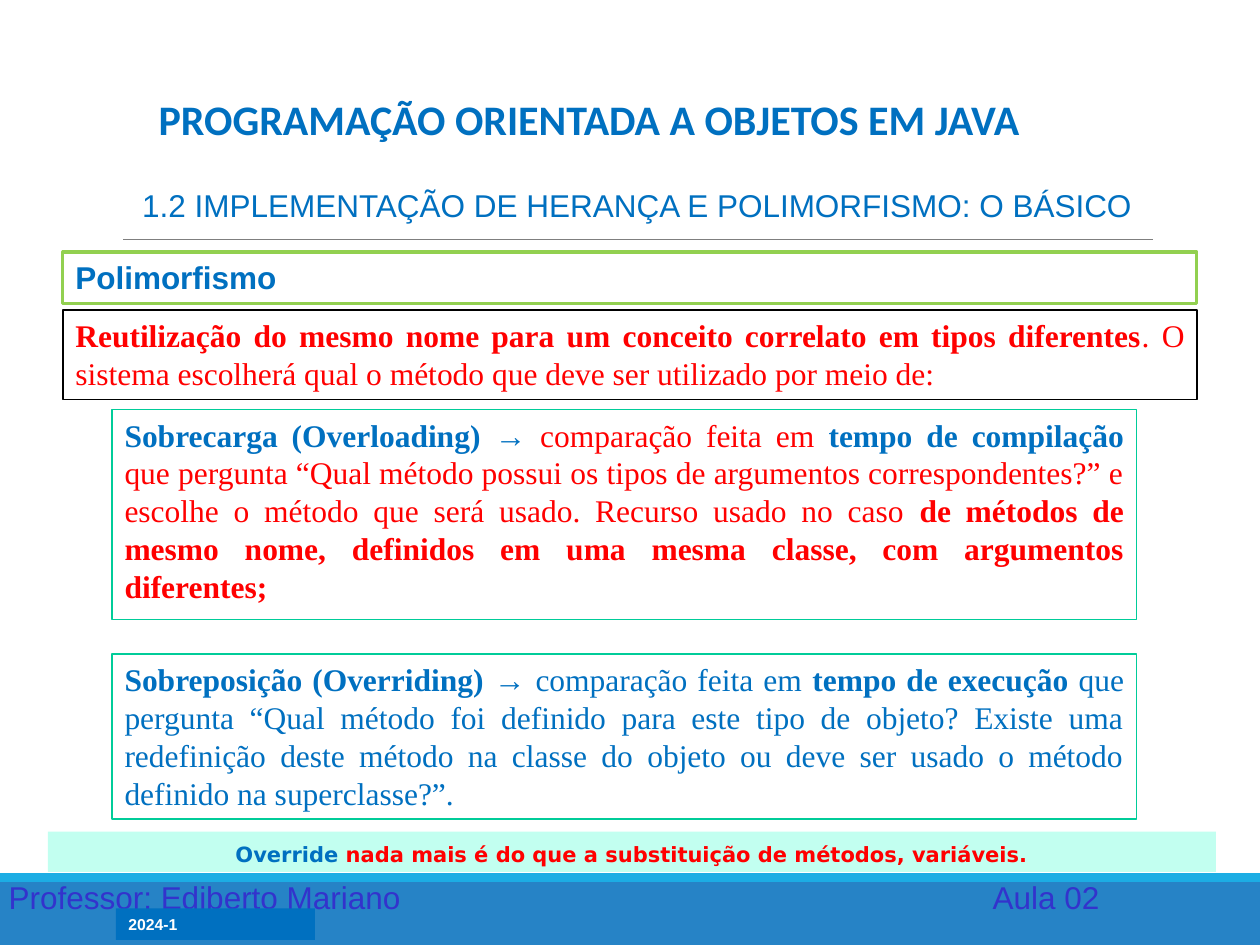
from lxml.etree import SubElement
from pptx import Presentation
from pptx.dml.color import RGBColor
from pptx.enum.shapes import MSO_CONNECTOR, MSO_SHAPE
from pptx.enum.text import MSO_ANCHOR, PP_ALIGN
from pptx.oxml.ns import qn
from pptx.util import Inches, Pt

COLUMNS, ROWS = 100, 75
WIDTH, HEIGHT = Inches(10), Inches(7.5)
BLUE, RED, WHITE = "0070C0", "FF0000", "FFFFFF"
SERIF = "Times New Roman"


def color(hex_code):
    return RGBColor.from_string(hex_code)


def grid(column, row, columns, rows):
    across, down = WIDTH / COLUMNS, HEIGHT / ROWS
    return [round(v) for v in (column * across, row * down, columns * across, rows * down)]


def add_panel(slide, area, fill=None, line=None, weight=0.75):
    panel = slide.shapes.add_shape(MSO_SHAPE.RECTANGLE, *grid(*area))
    panel.shadow.inherit = False
    if fill:
        panel.fill.solid()
        panel.fill.fore_color.rgb = color(fill)
    else:
        panel.fill.background()
    if line:
        panel.line.color.rgb = color(line)
        panel.line.width = Pt(weight)
    else:
        panel.line.fill.background()
    return panel


def add_label(slide, area):
    return slide.shapes.add_textbox(*grid(*area))


def add_rule(slide, column, row, columns):
    left, top, width, _ = grid(column, row, columns, 0)
    rule = slide.shapes.add_connector(MSO_CONNECTOR.STRAIGHT, left, top, left + width, top)
    rule.line.color.rgb = color("7F7F7F")
    rule.line.width = Pt(0.5)
    SubElement(rule._element.spPr, qn("a:effectLst"))


def write(holder, runs, font="Arial", size=18, align=PP_ALIGN.LEFT, anchor=MSO_ANCHOR.TOP):
    frame = holder.text_frame
    frame.word_wrap = True
    frame.vertical_anchor = anchor
    paragraph = frame.paragraphs[0]
    paragraph.alignment = align
    for text, hex_code, bold in runs:
        run = paragraph.add_run()
        run.text = text
        run.font.name = font
        run.font.size = Pt(size)
        run.font.bold = bold
        run.font.color.rgb = color(hex_code)
    return paragraph


def add_tab_stop(paragraph, columns):
    stops = SubElement(paragraph._p.get_or_add_pPr(), qn("a:tabLst"))
    SubElement(stops, qn("a:tab"), pos=str(round(columns * WIDTH / COLUMNS)), algn="l")


def add_footer(slide):
    add_panel(slide, (0, 69.3, 100, 5.7), fill="2683C6")
    add_panel(slide, (0, 69.3, 100, 0.7), fill="1CADE4")
    credits = add_label(slide, (-0.3, 69.2, 90, 4))
    line = write(credits, [("Professor: Ediberto Mariano\tAula 02", "3333CC", False)])
    add_tab_stop(line, 78.1)
    term = add_panel(slide, (9.2, 72.1, 15.8, 2.5), fill=BLUE)
    write(term, [("2024-1", WHITE, True)], size=9)


def add_headings(slide):
    add_rule(slide, 9.8, 19, 81.7)
    course = add_label(slide, (10.3, 6.7, 72.9, 5.2))
    write(course, [("PROGRAMAÇÃO ORIENTADA A OBJETOS EM JAVA", BLUE, True)],
          "Calibri", 24, PP_ALIGN.CENTER, MSO_ANCHOR.BOTTOM)
    section = add_label(slide, (10.3, 14.3, 86.7, 4.1))
    write(section, [("1.2 IMPLEMENTAÇÃO DE HERANÇA E POLIMORFISMO: O BÁSICO", BLUE, False)],
          align=PP_ALIGN.JUSTIFY)
    topic = add_panel(slide, (5, 20, 90, 4.1), line="92D050", weight=1.75)
    write(topic, [("Polimorfismo", BLUE, True)])


def add_concepts(slide):
    definition = [
        ("Reutilização do mesmo nome para um conceito correlato em tipos diferentes", RED, True),
        (". O sistema escolherá qual o método que deve ser utilizado por meio de:", RED, False),
    ]
    overloading = [
        ("Sobrecarga (Overloading) ", BLUE, True),
        ("→ ", BLUE, False),
        ("comparação feita em ", RED, False),
        ("tempo de compilação", BLUE, True),
        (" que pergunta “Qual método possui os tipos de argumentos correspondentes?” e escolhe "
         "o método que será usado. Recurso usado no caso ", RED, False),
        ("de métodos de mesmo nome, definidos em uma mesma classe, com argumentos diferentes;",
         RED, True),
    ]
    overriding = [
        ("Sobreposição (Overriding) ", BLUE, True),
        ("→ comparação feita em ", BLUE, False),
        ("tempo de execução", BLUE, True),
        (" que pergunta “Qual método foi definido para este tipo de objeto? Existe uma "
         "redefinição deste método na classe do objeto ou deve ser usado o método definido "
         "na superclasse?”.", BLUE, False),
    ]
    concepts = [
        ((5, 24.6, 90, 7.1), "000000", definition),
        ((8.9, 32.5, 81.3, 16.7), "00CC99", overloading),
        ((8.9, 51.9, 81.3, 13.1), "00CC99", overriding),
    ]
    for area, border, runs in concepts:
        write(add_panel(slide, area, line=border), runs, SERIF, align=PP_ALIGN.JUSTIFY)


def add_summary(slide):
    summary = add_panel(slide, (3.8, 66, 92.7, 3.2), fill="C2FFF0")
    sentence = write(summary, [
        ("Override", BLUE, True),
        (" nada mais é do que a substituição de métodos, variáveis.", RED, True),
    ], "DejaVu Sans", 12, PP_ALIGN.CENTER)
    sentence.line_spacing = 1.15


def main():
    deck = Presentation()
    deck.slide_width, deck.slide_height = WIDTH, HEIGHT
    slide = deck.slides.add_slide(deck.slide_layouts[6])
    add_footer(slide)
    add_headings(slide)
    add_concepts(slide)
    add_summary(slide)
    deck.save("out.pptx")


if __name__ == "__main__":
    main()
